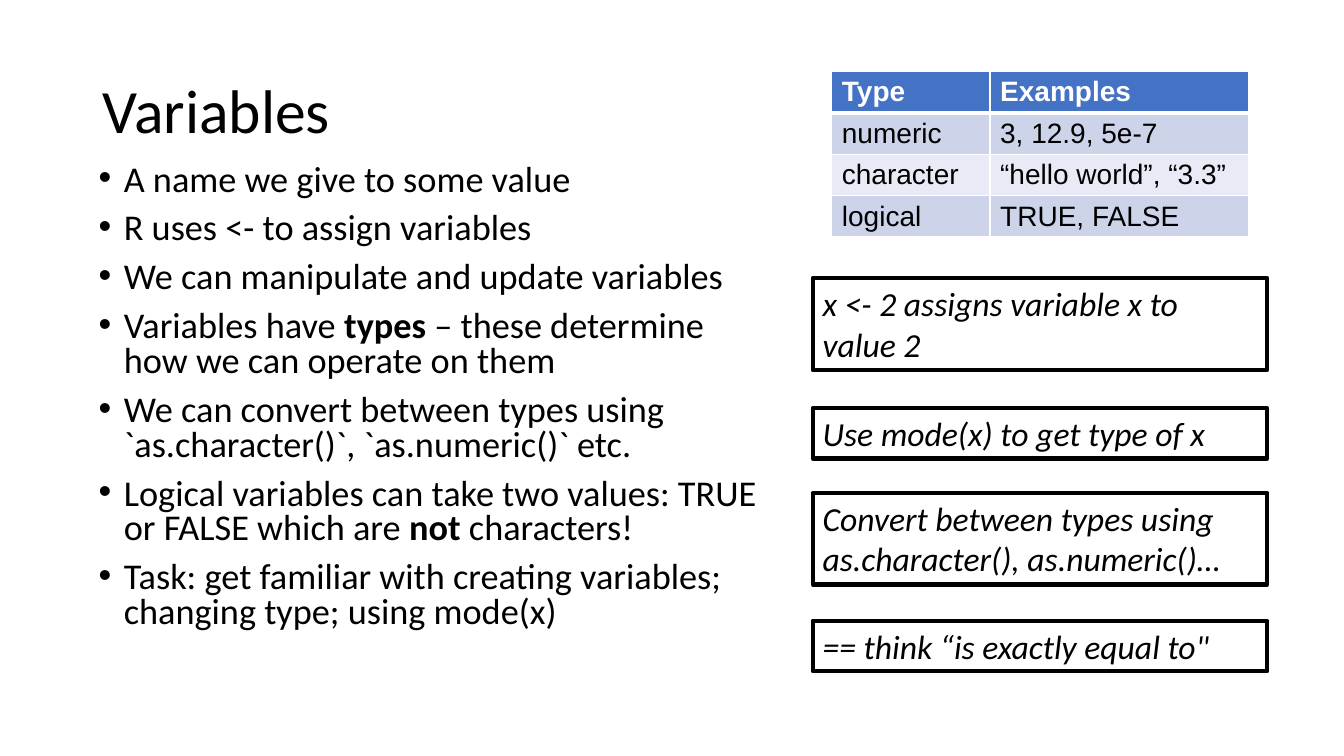
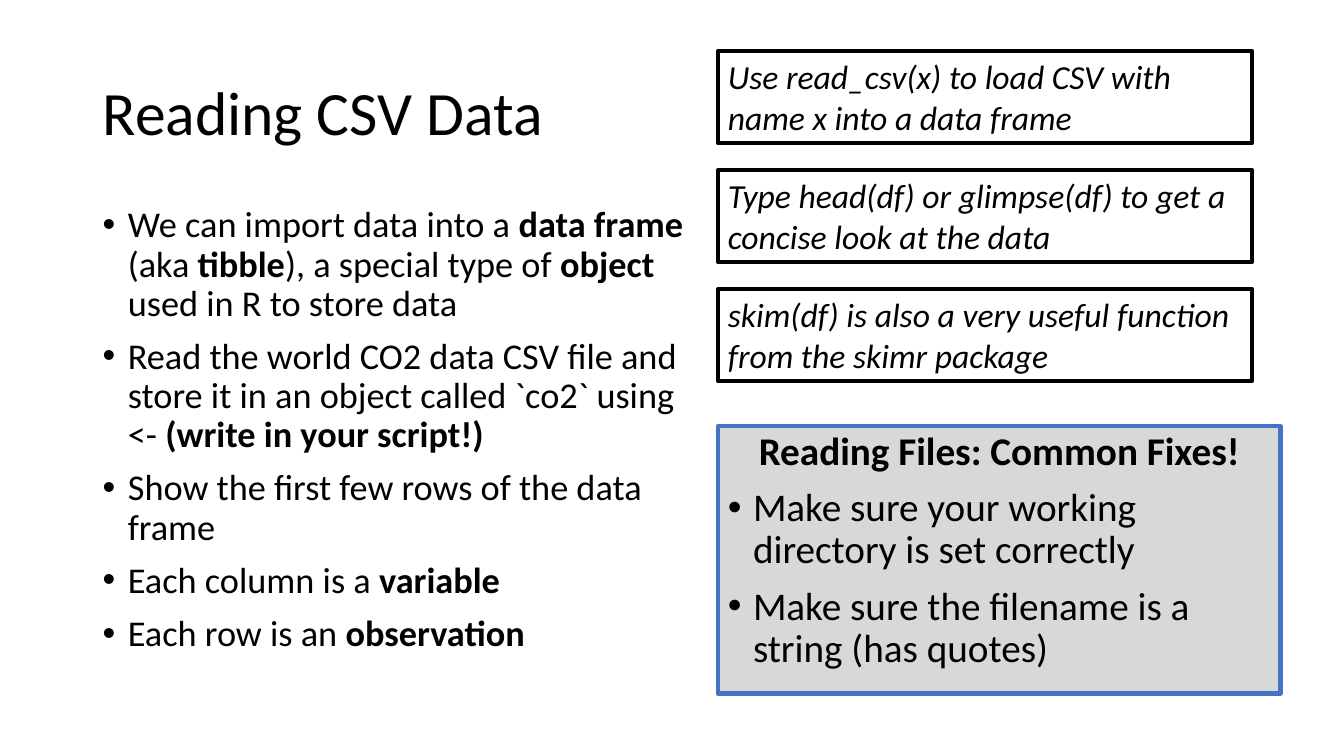
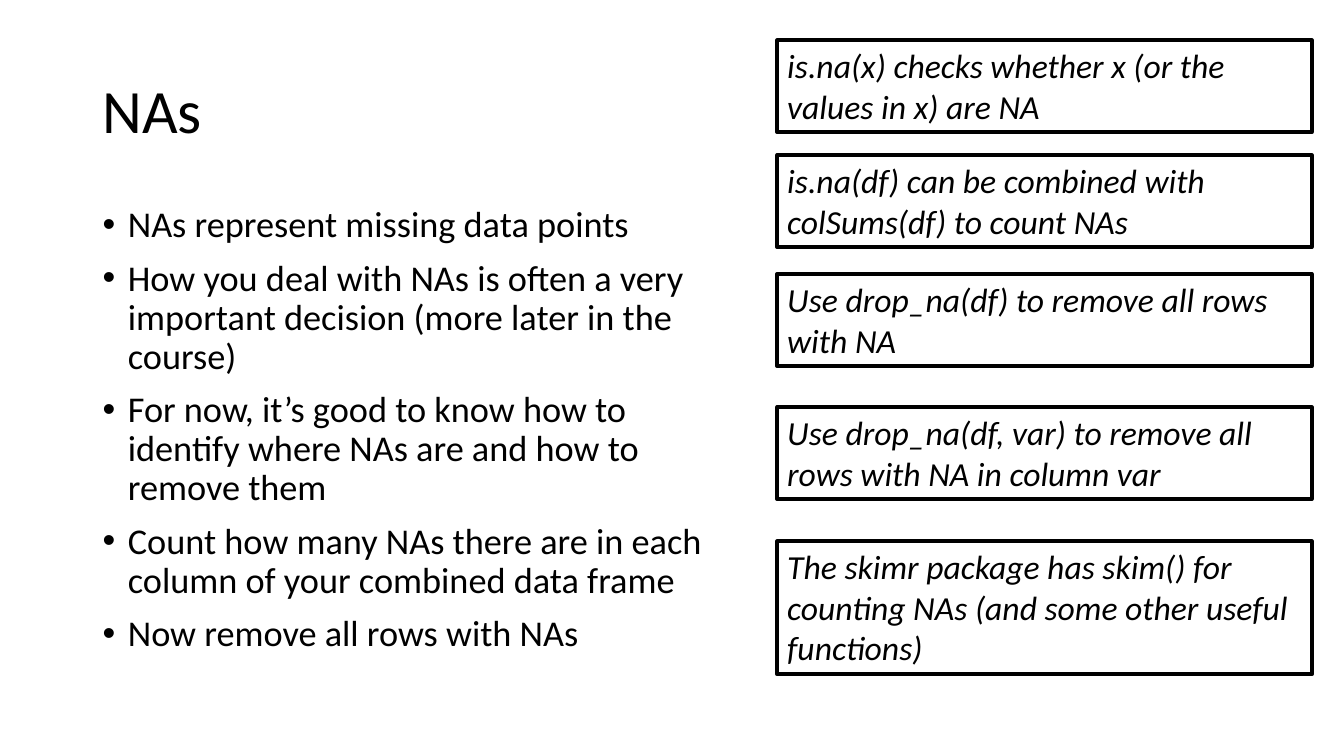
from dataclasses import dataclass

from pptx import Presentation
from pptx.dml.color import RGBColor
from pptx.enum.shapes import MSO_SHAPE
from pptx.enum.text import MSO_ANCHOR, MSO_AUTO_SIZE, PP_ALIGN
from pptx.oxml.xmlchemy import OxmlElement
from pptx.util import Inches, Pt

RECT = MSO_SHAPE.RECTANGLE
TOP, MIDDLE = MSO_ANCHOR.TOP, MSO_ANCHOR.MIDDLE
NO_FIT, GROW = MSO_AUTO_SIZE.NONE, MSO_AUTO_SIZE.SHAPE_TO_FIT_TEXT
LEFT, CENTER = PP_ALIGN.LEFT, PP_ALIGN.CENTER


@dataclass(frozen=True)
class Theme:
    font: str = "Calibri"
    table_font: str = "Arial"
    ink: str = "000000"
    paper: str = "FFFFFF"
    accent: str = "4472C4"
    panel: str = "D8D8D8"
    bands: tuple = ("CDD4EA", "E8EBF5")
    title: float = 44
    body: float = 25.9
    callout: float = 24
    panel_text: float = 28
    table_text: float = 20
    outline: float = 3
    grid: float = 1
    gap: float = 10
    spacing: float = 0.9


def rgb(value):
    return RGBColor.from_string(value)


def child(parent, tag, **attrs):
    el = OxmlElement(tag)
    for name, value in attrs.items():
        el.set(name, str(value))
    parent.append(el)
    return el


class Deck:
    def __init__(self, theme):
        self.theme = theme
        self.prs = Presentation()
        self.prs.slide_width = Inches(13.33)
        self.prs.slide_height = Inches(7.5)
        self.s = None

    def slide(self, title, top=0.4):
        self.s = self.prs.slides.add_slide(self.prs.slide_layouts[6])
        tf = self.textbox(0.92, top, 11.5, 1.45, MIDDLE)
        p = tf.paragraphs[0]
        p.line_spacing = self.theme.spacing
        self.runs(p, title, self.theme.title)

    def textbox(self, x, y, w, h, anchor=TOP):
        sp = self.s.shapes.add_textbox(Inches(x), Inches(y), Inches(w), Inches(h))
        return self.frame(sp, anchor)

    def box(self, x, y, w, h, fill, line):
        sp = self.s.shapes.add_shape(RECT, Inches(x), Inches(y), Inches(w), Inches(h))
        sp.shadow.inherit = False
        sp.fill.solid()
        sp.fill.fore_color.rgb = rgb(fill)
        sp.line.color.rgb = rgb(line)
        sp.line.width = Pt(self.theme.outline)
        return self.frame(sp, TOP)

    def frame(self, sp, anchor):
        tf = sp.text_frame
        tf.word_wrap = True
        tf.auto_size = NO_FIT
        tf.vertical_anchor = anchor
        return tf

    def runs(self, p, text, size, font=None, color=None, bold=False, italic=False):
        for i, part in enumerate(text.split("**")):
            if part:
                r = p.add_run()
                r.text = part
                r.font.name = font or self.theme.font
                r.font.size = Pt(size)
                r.font.color.rgb = rgb(color or self.theme.ink)
                r.font.bold = bold or i % 2 == 1
                r.font.italic = italic

    def bullet(self, p, text, size, spacing):
        p.alignment = LEFT
        p.line_spacing = spacing
        pPr = p._p.get_or_add_pPr()
        pPr.set("marL", str(Inches(0.25)))
        pPr.set("indent", str(Inches(-0.25)))
        child(pPr, "a:buFont", typeface=self.theme.table_font)
        child(pPr, "a:buChar", char="•")
        self.runs(p, text, size)

    def bullets(self, x, y, w, h, items, spacing=None):
        tf = self.textbox(x, y, w, h)
        for i, text in enumerate(items):
            p = tf.add_paragraph() if i else tf.paragraphs[0]
            p.space_before = Pt(self.theme.gap if i else 0)
            self.bullet(p, text, self.theme.body, spacing or self.theme.spacing)

    def callouts(self, x, w, items):
        t = self.theme
        for y, lines, text in items:
            tf = self.box(x, y, w, 0.09 + 0.41 * lines, t.paper, t.ink)
            tf.auto_size = GROW
            p = tf.paragraphs[0]
            p.alignment = LEFT
            self.runs(p, text, t.callout, italic=True)

    def panel(self, x, y, w, h, heading, items):
        t = self.theme
        tf = self.box(x, y, w, h, t.panel, t.accent)
        p = tf.paragraphs[0]
        p.alignment = CENTER
        p.line_spacing = t.spacing
        self.runs(p, heading, t.panel_text, bold=True)
        for text in items:
            p = tf.add_paragraph()
            p.space_before = Pt(t.gap)
            self.bullet(p, text, t.panel_text, t.spacing)

    def borders(self, cell, top, bottom):
        tcPr = cell._tc.get_or_add_tcPr()
        widths = {"L": self.theme.grid, "R": self.theme.grid, "T": top, "B": bottom}
        for i, (side, width) in enumerate(widths.items()):
            ln = child(tcPr, f"a:ln{side}", w=Pt(width))
            child(child(ln, "a:solidFill"), "a:srgbClr", val=self.theme.paper)
            tcPr.insert(i, ln)

    def table(self, x, y, widths, row_h, rows):
        t = self.theme
        tbl = self.s.shapes.add_table(
            len(rows), len(widths), Inches(x), Inches(y),
            Inches(sum(widths)), Inches(row_h * len(rows))).table
        tbl.horz_banding = False
        for column, width in zip(tbl.columns, widths):
            column.width = Inches(width)
        for i, row in enumerate(rows):
            header = i == 0
            fill = t.accent if header else t.bands[(i - 1) % 2]
            for j, text in enumerate(row):
                cell = tbl.cell(i, j)
                cell.fill.solid()
                cell.fill.fore_color.rgb = rgb(fill)
                self.borders(cell, t.outline if i == 1 else t.grid,
                             t.outline if header else t.grid)
                self.runs(cell.text_frame.paragraphs[0], text, t.table_text,
                          t.table_font, t.paper if header else t.ink, header)


deck = Deck(Theme())

deck.slide("Variables")
deck.bullets(0.88, 1.58, 6.88, 5.11, [
    "A name we give to some value",
    "R uses <- to assign variables",
    "We can manipulate and update variables",
    "Variables have **types** – these determine how we can operate on them",
    "We can convert between types using `as.character()`, `as.numeric()` etc.",
    "Logical variables can take two values: TRUE or FALSE which are **not **characters!",
    "Task: get familiar with creating variables; changing type; using mode(x)",
], spacing=0.8)
deck.table(8.25, 0.71, [1.57, 2.56], 0.41, [
    ("Type", "Examples"),
    ("numeric", "3, 12.9, 5e-7"),
    ("character", "“hello world”, “3.3”"),
    ("logical", "TRUE, FALSE"),
])
deck.callouts(8.06, 4.51, [
    (2.76, 2, "x <- 2 assigns variable x to value 2"),
    (4.05, 1, "Use mode(x) to get type of x"),
    (4.89, 2, "Convert between types using as.character(), as.numeric()…"),
    (6.16, 1, "== think “is exactly equal to\""),
])

deck.slide("Reading CSV Data", top=0.42)
deck.bullets(0.92, 2, 5.96, 4.76, [
    "We can import data into a **data frame **(aka** tibble**), a special type of "
    "**object **used in R to store data",
    "Read the world CO2 data CSV file and store it in an object called `co2` using <- "
    "**(write in your script!)**",
    "Show the first few rows of the data frame",
    "Each column is a **variable**",
    "Each row is an **observation**",
])
deck.callouts(7.12, 5.3, [
    (0.51, 2, "Use read_csv(x) to load CSV with name x into a data frame"),
    (1.69, 2, "Type head(df) or glimpse(df) to get a concise look at the data"),
    (2.87, 2, "skim(df) is also a very useful function from the skimr package"),
])
deck.panel(7.12, 4.23, 5.58, 2.65, "Reading Files: Common Fixes!", [
    "Make sure your working directory is set correctly",
    "Make sure the filename is a string (has quotes)",
])

deck.slide("NAs")
deck.bullets(0.92, 2, 6.4, 4.76, [
    "NAs represent missing data points",
    "How you deal with NAs is often a very important decision (more later in the course)",
    "For now, it’s good to know how to identify where NAs are and how to remove them",
    "Count how many NAs there are in each column of your combined data frame",
    "Now remove all rows with NAs",
])
deck.callouts(7.71, 5.3, [
    (0.4, 2, "is.na(x) checks whether x (or the values in x) are NA"),
    (1.54, 2, "is.na(df) can be combined with colSums(df) to count NAs"),
    (2.72, 2, "Use drop_na(df) to remove all rows with NA"),
    (4.04, 2, "Use drop_na(df, var) to remove all rows with NA in column var"),
    (5.37, 3, "The skimr package has skim() for counting NAs (and some other useful functions)"),
])

deck.prs.save("out.pptx")
